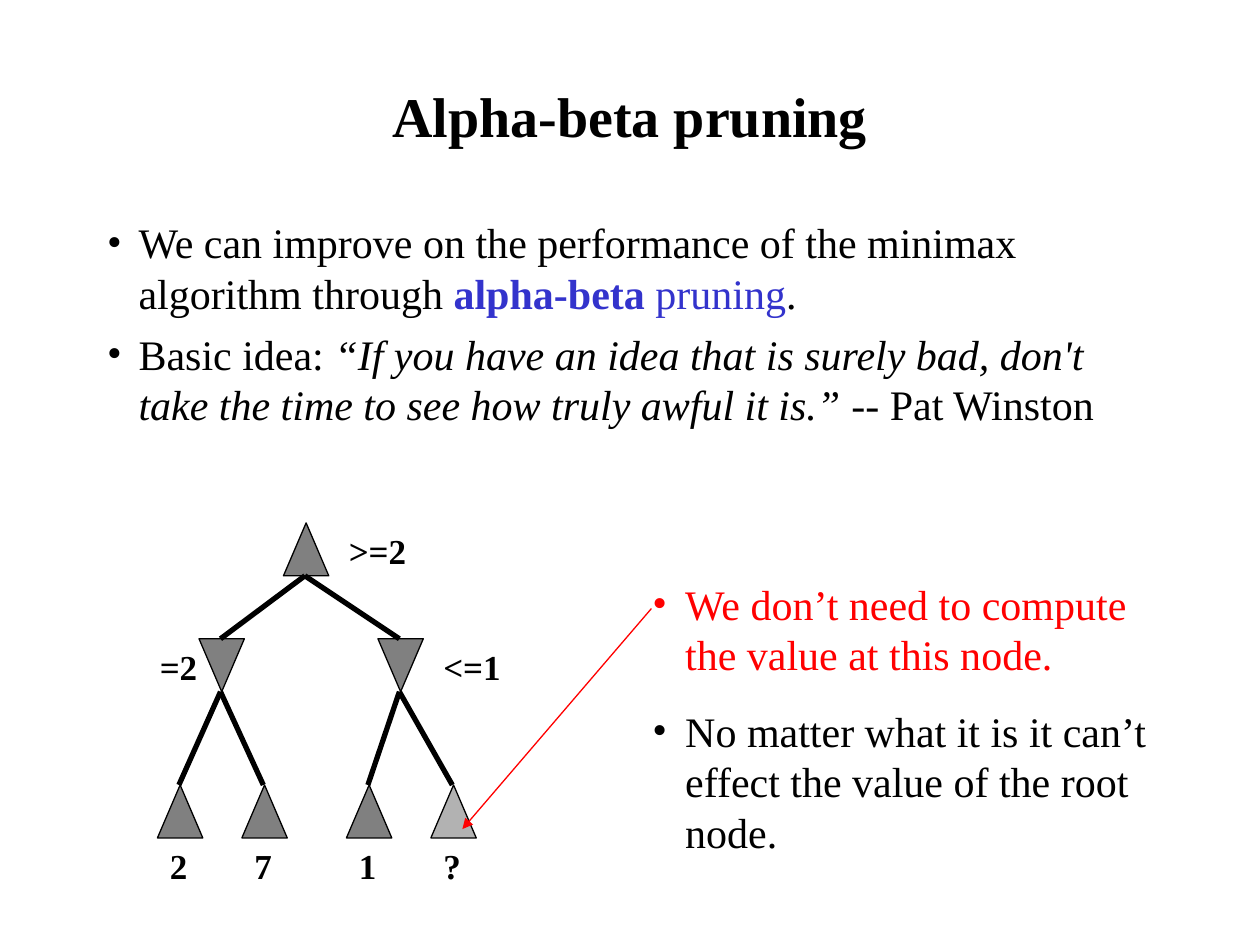
import pptx
import pptx.dml.color
import pptx.enum.shapes
import pptx.enum.text
import pptx.util
from pptx.oxml.ns import qn

Inches = pptx.util.Inches
Pt = pptx.util.Pt

FONT = "Times New Roman"
COLORS = {"black": "000000", "blue": "3333CC", "red": "FF0000",
          "node": "808080", "pruned": "B2B2B2"}
NODE_W, NODE_H = 0.36, 0.42
ROOT_Y, MIN_Y, LEAF_Y, VALUE_Y = 4.15, 5.07, 6.23, 6.65
ROOT_X = 2.25
MIN_NODES = {1.58: (1.25, 1.92), 3.0: (2.75, 3.42)}
LEAF_VALUES = {1.25: "2", 1.92: "7", 2.75: "1", 3.42: "?"}
BOUNDS = [(1.17, MIN_Y, 0.5, "=2"), (2.67, ROOT_Y, 0.66, ">=2"),
          (3.42, MIN_Y, 0.66, "<=1")]


def rgb(name):
    return pptx.dml.color.RGBColor.from_string(COLORS[name])


def add_run(paragraph, text, size, color="black", bold=False, italic=False):
    run = paragraph.add_run()
    run.text = text
    run.font.name = FONT
    run.font.size = Pt(size)
    run.font.bold = bold
    run.font.italic = italic
    run.font.color.rgb = rgb(color)


def place(shape, left, top, width, height):
    shape.left, shape.top = Inches(left), Inches(top)
    shape.width, shape.height = Inches(width), Inches(height)


def add_bullets(frame, items, indent, gap):
    """Fill a frame with bullets; each item is a list of (text, run format)."""
    frame.word_wrap = True
    frame.vertical_anchor = pptx.enum.text.MSO_ANCHOR.TOP
    for index, runs in enumerate(items):
        paragraph = frame.paragraphs[0] if index == 0 else frame.add_paragraph()
        paragraph.space_before = Pt(gap if index else 0)
        properties = paragraph._p.get_or_add_pPr()
        properties.set("marL", str(Inches(indent)))
        properties.set("indent", str(-Inches(indent)))
        bullet_color = properties.makeelement(qn("a:buClr"), {})
        bullet_color.append(bullet_color.makeelement(
            qn("a:srgbClr"), {"val": COLORS[runs[0][1].get("color", "black")]}))
        properties.append(bullet_color)
        properties.append(properties.makeelement(qn("a:buFont"), {"typeface": FONT}))
        properties.append(properties.makeelement(qn("a:buChar"), {"char": "•"}))
        for text, style in runs:
            add_run(paragraph, text, 24, **style)


def add_node(slide, left, top, fill="node", inverted=False):
    node = slide.shapes.add_shape(
        pptx.enum.shapes.MSO_SHAPE.ISOSCELES_TRIANGLE,
        Inches(left), Inches(top), Inches(NODE_W), Inches(NODE_H))
    node.shadow.inherit = False
    node.fill.solid()
    node.fill.fore_color.rgb = rgb(fill)
    node.line.color.rgb = rgb("black")
    node.line.width = Pt(0.75)
    if inverted:
        node._element.spPr.xfrm.set("flipV", "1")


def add_line(slide, start, end, color="black", width=3, arrow=False):
    line = slide.shapes.add_connector(
        pptx.enum.shapes.MSO_CONNECTOR.STRAIGHT,
        *(Inches(value) for value in start + end))
    line.line.color.rgb = rgb(color)
    line.line.width = Pt(width)
    if arrow:
        outline = line.line._get_or_add_ln()
        outline.append(outline.makeelement(qn("a:tailEnd"), {"type": "triangle"}))
    properties = line._element.spPr
    properties.append(properties.makeelement(qn("a:effectLst"), {}))


def add_label(slide, left, top, width, text):
    label = slide.shapes.add_textbox(
        Inches(left), Inches(top), Inches(width), Inches(0.44))
    label.text_frame.word_wrap = False
    label.text_frame.auto_size = pptx.enum.text.MSO_AUTO_SIZE.SHAPE_TO_FIT_TEXT
    add_run(label.text_frame.paragraphs[0], text, 20, bold=True)


def add_tree(slide):
    center = NODE_W / 2 - 0.01
    add_node(slide, ROOT_X, ROOT_Y)
    for min_x, leaves in MIN_NODES.items():
        add_node(slide, min_x, MIN_Y, inverted=True)
        for leaf_x in leaves:
            value = LEAF_VALUES[leaf_x]
            add_node(slide, leaf_x, LEAF_Y, "pruned" if value == "?" else "node")
            add_label(slide, leaf_x, VALUE_Y, 0.34, value)
    for min_x, leaves in MIN_NODES.items():
        add_line(slide, (min_x + center, MIN_Y),
                 (ROOT_X + center, ROOT_Y + NODE_H))
        for leaf_x in leaves:
            add_line(slide, (leaf_x + center, LEAF_Y),
                     (min_x + center, MIN_Y + NODE_H))
    for bound in BOUNDS:
        add_label(slide, *bound)


def main():
    deck = pptx.Presentation()
    deck.slide_width, deck.slide_height = Inches(10), Inches(7.5)
    slide = deck.slides.add_slide(deck.slide_layouts[1])

    title = slide.shapes.title
    place(title, 0.75, 0.58, 8.5, 0.67)
    title.text_frame.vertical_anchor = pptx.enum.text.MSO_ANCHOR.MIDDLE
    heading = title.text_frame.paragraphs[0]
    heading.alignment = pptx.enum.text.PP_ALIGN.CENTER
    add_run(heading, "Alpha-beta pruning", 32, bold=True)

    idea = slide.placeholders[1]
    place(idea, 0.75, 1.67, 8.5, 4.5)
    add_bullets(idea.text_frame, [
        [("We can improve on the performance of the minimax algorithm through ", {}),
         ("alpha-beta", {"color": "blue", "bold": True}),
         (" pruning", {"color": "blue"}),
         (".", {})],
        [("Basic idea: ", {}),
         ("“If you have an idea that is surely bad, don't take the time "
          "to see how truly awful it is.”", {"italic": True}),
         (" -- Pat Winston", {})],
    ], indent=0.25, gap=6)

    add_tree(slide)

    remark = slide.shapes.add_textbox(
        Inches(5.08), Inches(4.54), Inches(4.42), Inches(2.31))
    add_bullets(remark.text_frame, [
        [("We don’t need to compute the value at this node.", {"color": "red"})],
        [("No matter what it is it can’t effect the value of the root node.", {})],
    ], indent=0.26, gap=15)
    add_line(slide, (5.17, 4.83), (3.67, 6.58), "red", 0.75, arrow=True)

    deck.save("out.pptx")


if __name__ == "__main__":
    main()
